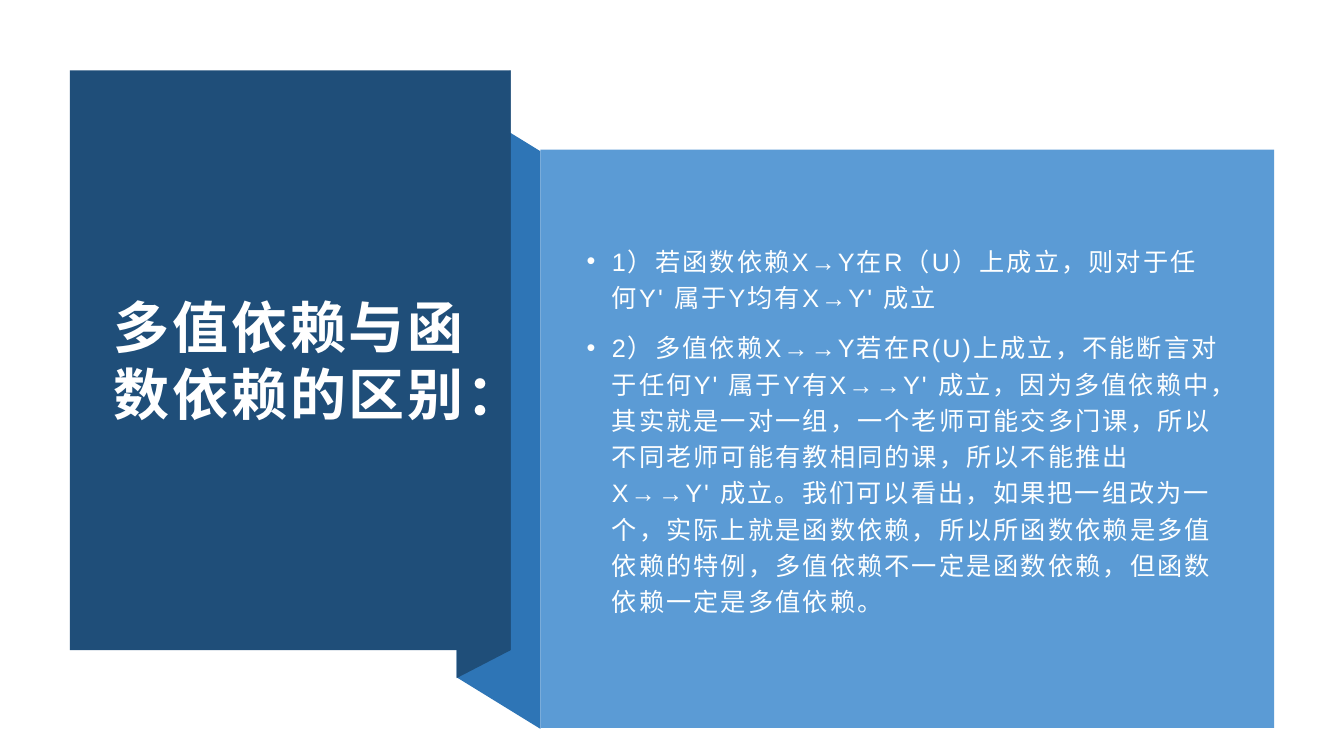
from dataclasses import dataclass
from typing import Any

from lxml import etree
from pptx import Presentation
from pptx.dml.color import RGBColor
from pptx.enum.shapes import MSO_SHAPE
from pptx.enum.text import MSO_ANCHOR, MSO_AUTO_SIZE, PP_ALIGN
from pptx.oxml.ns import qn
from pptx.util import Emu, Inches, Pt

RECTANGLE = MSO_SHAPE.RECTANGLE
MIDDLE = MSO_ANCHOR.MIDDLE
NO_AUTOFIT = MSO_AUTO_SIZE.NONE
LEFT = PP_ALIGN.LEFT

SLIDE_WIDTH, SLIDE_HEIGHT = Inches(13.33), Inches(7.5)
NAVY, RIBBON_BLUE, SKY = "1F4E79", "2E75B6", "5B9BD5"
TITLE_ONLY = 5

HEADING = "多值依赖与函数依赖的区别："
POINTS = (
    "1）若函数依赖X→Y在R（U）上成立，则对于任何Y' 属于Y均有X→Y' 成立",
    "2）多值依赖X→→Y若在R(U)上成立，不能断言对于任何Y' 属于Y有X→→Y' 成立，"
    "因为多值依赖中，其实就是一对一组，一个老师可能交多门课，"
    "所以不同老师可能有教相同的课，所以不能推出X→→Y' 成立。"
    "我们可以看出，如果把一组改为一个，实际上就是函数依赖，"
    "所以所函数依赖是多值依赖的特例，多值依赖不一定是函数依赖，"
    "但函数依赖一定是多值依赖。",
)


@dataclass(frozen=True)
class Area:
    """A rectangle in percent of the slide's width and height."""

    left: float
    top: float
    width: float
    height: float

    def box(self) -> tuple[Emu, Emu, Emu, Emu]:
        """Return the left, top, width and height in EMU."""
        return (*point(self.left, self.top), *point(self.width, self.height))


@dataclass(frozen=True)
class Fold:
    """A slanted ribbon side, with corners in percent of the slide."""

    corners: tuple[tuple[float, float], ...]
    color: str


@dataclass(frozen=True)
class Panel:
    """A flat coloured rectangle."""

    area: Area
    color: str


FOLDS = (
    Fold(((33.98, 13.2), (40.2, 20), (40.2, 96.4), (33.98, 89.6)), RIBBON_BLUE),
    Fold(((33.98, 13.1), (38, 9.3), (38, 86), (33.98, 89.7)), NAVY),
)
PANELS = (
    Panel(Area(5.2, 9.3, 32.8, 76.7), NAVY),
    Panel(Area(40.2, 19.8, 54.6, 76.5), SKY),
)
HEADING_AREA = Area(7.65, 14.27, 27.83, 66.53)
POINTS_AREA = Area(42.83, 25.07, 48.84, 63.2)

FRAME_FORMAT = {
    "word_wrap": True,
    "auto_size": NO_AUTOFIT,
    "vertical_anchor": MIDDLE,
    "margin_left": Inches(0.11),
}
HEADING_FRAME = FRAME_FORMAT | {
    "margin_right": Inches(0.08),
    "margin_top": Inches(0.04),
    "margin_bottom": Inches(0.04),
}
POINTS_FRAME = FRAME_FORMAT | {
    "margin_right": Inches(0.09),
    "margin_top": 0,
    "margin_bottom": 0,
}
HEADING_FONT = {"name": "Arial", "size": Pt(40), "bold": True}
POINTS_FONT = {"name": "Arial", "size": Pt(18), "bold": False}
HEADING_PARAGRAPH = {"alignment": LEFT, "line_spacing": 1.0}
POINTS_PARAGRAPH = {"alignment": LEFT, "line_spacing": 1.2, "space_after": Pt(10)}


def rgb(color: str) -> RGBColor:
    """Turn a hex string into a colour."""
    return RGBColor.from_string(color)


def point(across: float, down: float) -> tuple[Emu, Emu]:
    """Turn percentages of the slide's size into EMU."""
    return Emu(round(SLIDE_WIDTH * across / 100)), Emu(round(SLIDE_HEIGHT * down / 100))


def apply(target: Any, values: dict[str, Any]) -> None:
    """Set every attribute named in the format values."""
    for attribute, value in values.items():
        setattr(target, attribute, value)


def paint(surface: Any, color: str) -> None:
    """Give a shape a plain fill without line or shadow."""
    surface.shadow.inherit = False
    surface.fill.solid()
    surface.fill.fore_color.rgb = rgb(color)
    surface.line.fill.background()


def draw_fold(slide: Any, fold: Fold) -> None:
    """Draw one slanted side of the ribbon."""
    start, *others = (point(*corner) for corner in fold.corners)
    outline = slide.shapes.build_freeform(*start)
    outline.add_line_segments(others, close=True)
    paint(outline.convert_to_shape(), fold.color)


def draw_panel(slide: Any, panel: Panel) -> None:
    """Draw one flat panel."""
    paint(slide.shapes.add_shape(RECTANGLE, *panel.area.box()), panel.color)


def write(paragraph: Any, words: str, layout: dict[str, Any], font: dict[str, Any],
          color: str, tracking: float) -> None:
    """Write a paragraph as one formatted, letter-spaced run."""
    apply(paragraph, layout)
    run = paragraph.add_run()
    run.text = words
    apply(run.font, font)
    run.font.color.rgb = rgb(color)
    run._r.get_or_add_rPr().set("spc", str(round(tracking * 100)))


def add_bullet(paragraph: Any) -> None:
    """Give a paragraph a hanging round bullet."""
    properties = paragraph._p.get_or_add_pPr()
    properties.set("marL", str(Inches(0.25)))
    properties.set("indent", str(-Inches(0.25)))
    etree.SubElement(properties, qn("a:buFont"), typeface="Arial")
    etree.SubElement(properties, qn("a:buChar"), char="•")


def write_heading(slide: Any) -> None:
    """Place the title in front of the navy panel."""
    heading = slide.shapes.title
    slide.shapes.element.append(heading.element)
    apply(heading, dict(zip(("left", "top", "width", "height"), HEADING_AREA.box())))
    apply(heading.text_frame, HEADING_FRAME)
    write(heading.text_frame.paragraphs[0], HEADING, HEADING_PARAGRAPH,
          HEADING_FONT, "FFFFFF", 2)


def write_points(slide: Any) -> None:
    """Write the bulleted comparison."""
    frame = slide.shapes.add_textbox(*POINTS_AREA.box()).text_frame
    apply(frame, POINTS_FRAME)
    for index, words in enumerate(POINTS):
        paragraph = frame.add_paragraph() if index else frame.paragraphs[0]
        add_bullet(paragraph)
        write(paragraph, words, POINTS_PARAGRAPH, POINTS_FONT, "FEFFFF", 1.5)


def main() -> None:
    """Build and save the slide."""
    deck = Presentation()
    apply(deck, {"slide_width": SLIDE_WIDTH, "slide_height": SLIDE_HEIGHT})
    slide = deck.slides.add_slide(deck.slide_layouts[TITLE_ONLY])
    for fold in FOLDS:
        draw_fold(slide, fold)
    for panel in PANELS:
        draw_panel(slide, panel)
    write_heading(slide)
    write_points(slide)
    deck.save("out.pptx")


if __name__ == "__main__":
    main()
